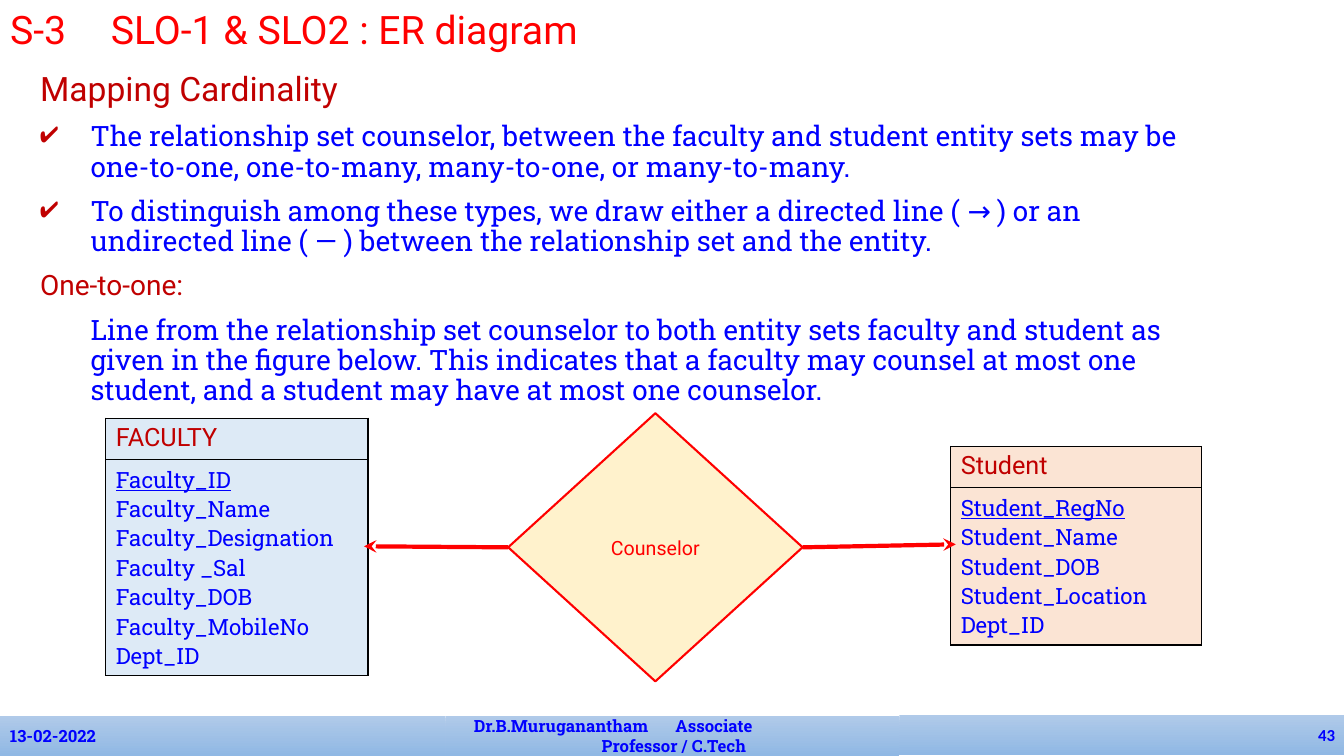
import dataclasses

import pptx
import pptx.dml.color
import pptx.enum.shapes
import pptx.enum.text
import pptx.oxml.xmlchemy
import pptx.util

Inches = pptx.util.Inches
Pt = pptx.util.Pt
ALIGN = pptx.enum.text.PP_ALIGN
MIDDLE = pptx.enum.text.MSO_ANCHOR.MIDDLE
SHAPES = pptx.enum.shapes.MSO_SHAPE


@dataclasses.dataclass(frozen=True)
class Theme:
    sans: str = "Roboto"
    slab: str = "Roboto Slab"
    number_font: str = "Calibri"
    red: str = "FF0000"
    dark_red: str = "C00000"
    blue: str = "0000FF"
    black: str = "000000"
    faculty_fill: str = "DDEAF6"
    student_fill: str = "FBE4D4"
    diamond_fill: str = "FFF2CC"
    footer_top: str = "B0CAE9"
    footer_bottom: str = "90B8E4"
    title_size: int = 28
    heading_size: int = 24
    body_size: int = 20
    entity_size: int = 18
    attribute_size: int = 16
    label_size: int = 14
    footer_size: int = 12


THEME = Theme()


def rgb(color):
    return pptx.dml.color.RGBColor.from_string(color)


def add_xml(parent, tag, **attributes):
    element = pptx.oxml.xmlchemy.OxmlElement(tag)
    for name, value in attributes.items():
        element.set(name, str(value))
    parent.append(element)
    return element


# Text
def write(frame, text, *, font=THEME.slab, size=THEME.body_size, color=THEME.blue,
          bold=False, underline=False, align=ALIGN.LEFT, line_spacing=None,
          space_before=0, indent=0, hanging=0, bullet=None, tab=None):
    """Fill the frame's first paragraph if it is empty, else append one."""
    paragraph = frame.paragraphs[0]
    if paragraph.runs:
        paragraph = frame.add_paragraph()
    paragraph.alignment = align
    paragraph.space_before = Pt(space_before)
    if line_spacing:
        paragraph.line_spacing = line_spacing
    properties = paragraph._p.get_or_add_pPr()
    properties.set("marL", str(Inches(indent)))
    properties.set("indent", str(Inches(-hanging)))
    if bullet:
        add_xml(add_xml(properties, "a:buClr"), "a:srgbClr", val=THEME.dark_red)
        add_xml(properties, "a:buChar", char=bullet)
    if tab:
        add_xml(add_xml(properties, "a:tabLst"), "a:tab", pos=Inches(tab), algn="l")
    run = paragraph.add_run()
    run.text = text
    run.font.name, run.font.size = font, Pt(size)
    run.font.bold, run.font.underline = bold, underline
    run.font.color.rgb = rgb(color)


def set_title(slide, text):
    title = slide.shapes.title
    title.left, title.top = Inches(0), Inches(0.08)
    title.width, title.height = Inches(11.5), Inches(0.48)
    title.text_frame.vertical_anchor = MIDDLE
    title.text_frame.auto_size = pptx.enum.text.MSO_AUTO_SIZE.NONE
    write(title.text_frame, text, font=THEME.sans, size=THEME.title_size,
          color=THEME.red, line_spacing=0.9, tab=1)


def add_body(slide):
    box = slide.shapes.add_textbox(Inches(0.3), Inches(0.67), Inches(11.5), Inches(5.93))
    frame = box.text_frame
    frame.word_wrap = True
    write(frame, "Mapping Cardinality", font=THEME.sans, size=THEME.heading_size,
          color=THEME.dark_red, line_spacing=0.9)
    for point in (
        "The relationship set counselor, between the faculty and student entity sets "
        "may be one-to-one, one-to-many, many-to-one, or many-to-many.",
        "To distinguish among these types, we draw either a directed line ( → ) or an "
        "undirected line ( — ) between the relationship set and the entity.",
    ):
        write(frame, point, line_spacing=0.9, space_before=10,
              indent=0.5, hanging=0.5, bullet="✔")
    write(frame, "One-to-one:", font=THEME.sans, color=THEME.dark_red,
          line_spacing=0.9, space_before=10)
    write(frame, "Line from the relationship set counselor to both entity sets faculty and "
          "student as given in the figure below. This indicates that a faculty may counsel "
          "at most one student, and a student may have at most one counselor.",
          line_spacing=0.9, space_before=10, indent=0.5)


# Shapes
def add_shape(slide, kind, left, top, width, height):
    shape = slide.shapes.add_shape(kind, Inches(left), Inches(top),
                                   Inches(width), Inches(height))
    shape.shadow.inherit = False
    shape.text_frame.word_wrap = True
    shape.text_frame.vertical_anchor = MIDDLE
    return shape


def add_footer_bar(slide, left, width, top=7.1):
    bar = add_shape(slide, SHAPES.RECTANGLE, left, top, width, 0.4)
    bar.line.fill.background()
    bar.fill.gradient()
    bar.fill.gradient_angle = 270
    colors = (THEME.footer_top, THEME.footer_bottom)
    for stop, position, color in zip(bar.fill.gradient_stops, (0, 1), colors):
        stop.position = position
        stop.color.rgb = rgb(color)
    return bar.text_frame


def add_footer(slide):
    style = {"size": THEME.footer_size, "bold": True}
    write(add_footer_bar(slide, 0, 4.42), "13-02-2022", **style)
    author = add_footer_bar(slide, 4.42, 4.5)
    author.margin_left, author.margin_right = Inches(0.28), Inches(0.25)
    write(author, "Dr.B.Muruganantham\tAssociate", tab=3.15, **style)
    write(author, "Professor / C.Tech", align=ALIGN.CENTER, **style)
    write(add_footer_bar(slide, 8.92, 4.42, top=7.09), "43",
          font=THEME.number_font, align=ALIGN.RIGHT, **style)


# Entity tables
def format_cell(cell, fill):
    properties = cell._tc.get_or_add_tcPr()
    for side in ("a:lnL", "a:lnR", "a:lnT", "a:lnB"):
        border = add_xml(properties, side, w=Pt(1))
        add_xml(add_xml(border, "a:solidFill"), "a:srgbClr", val=THEME.black)
    cell.fill.solid()
    cell.fill.fore_color.rgb = rgb(fill)


def add_entity(slide, left, top, width, name, attributes, fill):
    heights = (0.41, 0.11 + 0.29 * len(attributes))
    frame = slide.shapes.add_table(2, 1, Inches(left), Inches(top),
                                   Inches(width), Inches(sum(heights)))
    table = frame.table
    for row, height in zip(table.rows, heights):
        row.height = Inches(height)
        format_cell(row.cells[0], fill)
    write(table.cell(0, 0).text_frame, name, font=THEME.sans,
          size=THEME.entity_size, color=THEME.dark_red)
    for index, attribute in enumerate(attributes):
        write(table.cell(1, 0).text_frame, attribute,
              size=THEME.attribute_size, underline=index == 0)


# Relationship
def add_relationship(slide, text):
    diamond = add_shape(slide, SHAPES.DIAMOND, 5.04, 4.1, 2.92, 2.66)
    diamond.fill.solid()
    diamond.fill.fore_color.rgb = rgb(THEME.diamond_fill)
    diamond.line.color.rgb = rgb(THEME.red)
    diamond.line.width = Pt(1.5)
    write(diamond.text_frame, text, font=THEME.sans, size=THEME.label_size,
          color=THEME.red, align=ALIGN.CENTER)
    return diamond


def add_arrow(slide, source, side, end_x, end_y):
    arrow = slide.shapes.add_connector(
        pptx.enum.shapes.MSO_CONNECTOR.STRAIGHT,
        source.left, source.top, Inches(end_x), Inches(end_y))
    arrow.begin_connect(source, side)
    arrow.line.color.rgb = rgb(THEME.red)
    arrow.line.width = Pt(3)
    add_xml(arrow.line._get_or_add_ln(), "a:tailEnd", type="stealth")
    add_xml(arrow._element.spPr, "a:effectLst")


def main():
    presentation = pptx.Presentation()
    presentation.slide_width = Inches(13.33)
    presentation.slide_height = Inches(7.5)
    slide = presentation.slides.add_slide(presentation.slide_layouts[5])

    set_title(slide, "S-3\tSLO-1 & SLO2 : ER diagram")
    add_body(slide)
    add_footer(slide)

    # Entity-relationship diagram
    add_entity(slide, 1.05, 4.15, 2.6, "FACULTY",
               ("Faculty_ID", "Faculty_Name", "Faculty_Designation", "Faculty _Sal",
                "Faculty_DOB", "Faculty_MobileNo", "Dept_ID"), THEME.faculty_fill)
    add_entity(slide, 9.43, 4.43, 2.49, "Student",
               ("Student_RegNo", "Student_Name", "Student_DOB", "Student_Location",
                "Dept_ID"), THEME.student_fill)
    counselor = add_relationship(slide, "Counselor")
    add_arrow(slide, counselor, 1, 3.61, 5.42)
    add_arrow(slide, counselor, 3, 9.48, 5.4)

    presentation.save("out.pptx")


if __name__ == "__main__":
    main()
